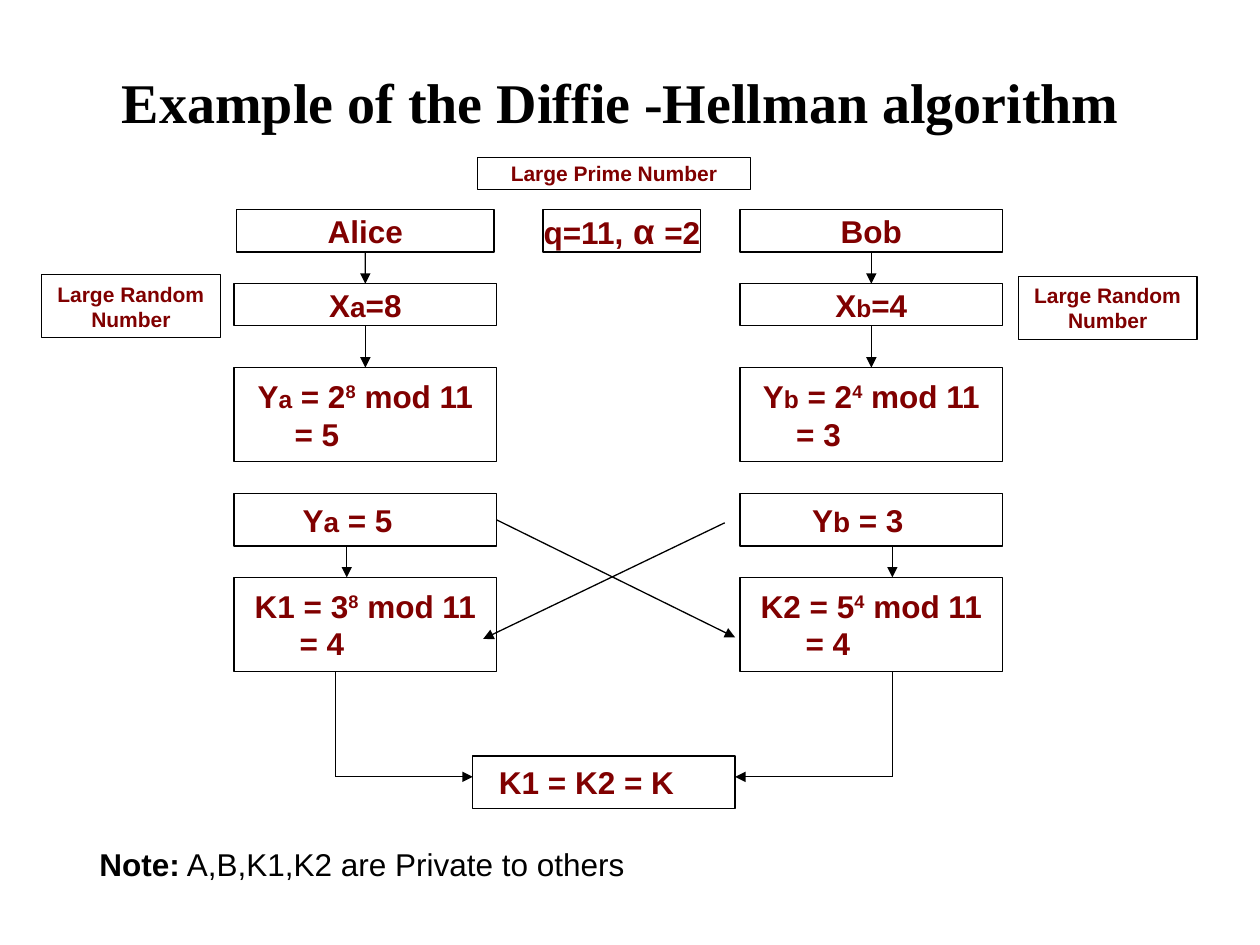
from dataclasses import dataclass

from lxml.etree import SubElement
from pptx import Presentation
from pptx.dml.color import RGBColor
from pptx.enum.shapes import MSO_CONNECTOR, MSO_SHAPE
from pptx.enum.text import MSO_ANCHOR, MSO_AUTO_SIZE, PP_ALIGN
from pptx.oxml.ns import qn
from pptx.util import Cm, Pt

BLACK = RGBColor(0x00, 0x00, 0x00)
WHITE = RGBColor(0xFF, 0xFF, 0xFF)
MAROON = RGBColor(0x80, 0x00, 0x00)

BOX_WIDTH = 5.29
LOW, MEDIUM, TALL = 0.85, 1.06, 1.9
NAME_TOP, SECRET_TOP, PUBLIC_TOP, SENT_TOP, KEY_TOP = 4.23, 5.72, 7.41, 9.95, 11.64
SHARED_LEFT, SHARED_TOP, JOIN_TOP = 9.53, 15.24, 15.66
BOTTOM, LEFT_SIDE, RIGHT_SIDE, TOP = 2, 1, 3, 0


@dataclass(frozen=True)
class Run:
    text: str
    size: float = 18
    bold: bool = True
    raised: bool = False


@dataclass(frozen=True)
class Line:
    runs: tuple[Run, ...]
    indent: float | None = None


@dataclass(frozen=True)
class Party:
    name: str
    left: float
    name_left: float
    name_width: float
    letter: str
    secret_size: float
    sent_size: float
    secret: str
    public: str
    public_indent: float
    sent_indent: float
    key: str
    received: str
    sent_x: float
    key_x: float
    random_left: float
    random_top: float
    shared_edge: float


PARTIES = (
    Party("Alice", 4.72, 4.77, 5.19, "a", 16, 16, "8", "5", 0.97, 1.13,
          "K1", "3", 6.99, 6.77, 0.84, 5.54, SHARED_LEFT),
    Party("Bob", 14.92, 14.92, 5.29, "b", 14, 16, "4", "3", 0.88, 1.2,
          "K2", "5", 17.99, 17.99, 20.53, 5.57, SHARED_LEFT + BOX_WIDTH),
)


def write_text(frame, lines: list[Line], *, font="Arial", color=MAROON,
               spacing=None, wrap=True):
    frame.word_wrap = wrap
    frame.auto_size = MSO_AUTO_SIZE.NONE
    frame.vertical_anchor = MSO_ANCHOR.MIDDLE
    for index, line in enumerate(lines):
        paragraph = frame.paragraphs[0] if index == 0 else frame.add_paragraph()
        paragraph.alignment = PP_ALIGN.CENTER
        if spacing is not None:
            paragraph.line_spacing = spacing
        if line.indent is not None:
            paragraph.alignment = PP_ALIGN.LEFT
            properties = paragraph._p.get_or_add_pPr()
            properties.set("marL", str(Cm(line.indent)))
            properties.set("indent", "0")
        for part in line.runs:
            run = paragraph.add_run()
            run.text = part.text
            run.font.name = font
            run.font.size = Pt(part.size)
            run.font.bold = part.bold
            run.font.color.rgb = color
            if part.raised:
                run.font._element.set("baseline", "30000")


def add_box(slide, left: float, top: float, width: float, height: float,
            lines: list[Line], *, outlined=True, **text_format):
    box = slide.shapes.add_shape(MSO_SHAPE.RECTANGLE, Cm(left), Cm(top), Cm(width), Cm(height))
    box.shadow.inherit = False
    box.fill.solid()
    box.fill.fore_color.rgb = WHITE
    if outlined:
        box.line.color.rgb = BLACK
        box.line.width = Pt(0.75)
    else:
        box.line.fill.background()
    box.text_frame.margin_top = box.text_frame.margin_bottom = 0
    write_text(box.text_frame, lines, **text_format)
    return box


def add_line(slide, start: tuple[float, float], end: tuple[float, float], arrow=True):
    line = slide.shapes.add_connector(
        MSO_CONNECTOR.STRAIGHT, *(Cm(value) for value in (*start, *end)))
    line.line.color.rgb = BLACK
    line.line.width = Pt(0.75)
    if arrow:
        SubElement(line.line._get_or_add_ln(), qn("a:tailEnd"), type="triangle")
    SubElement(line._element.spPr, qn("a:effectLst"))
    return line


def join_down(slide, upper, lower):
    arrow = add_line(slide, (0, 0), (1, 1))
    arrow.begin_connect(upper, BOTTOM)
    arrow.end_connect(lower, TOP)


def add_party(slide, party: Party):
    def column_box(top: float, height: float, lines: list[Line]):
        return add_box(slide, party.left, top, BOX_WIDTH, height, lines)

    def power(*base: Run) -> Line:
        return Line((*base, Run(party.secret, raised=True), Run(" mod 11")))

    name = add_box(slide, party.name_left, NAME_TOP, party.name_width, LOW,
                   [Line((Run(party.name),))])
    secret = column_box(SECRET_TOP, LOW, [Line((
        Run("X"), Run(party.letter, party.secret_size), Run(f"={party.secret}")))])
    public = column_box(PUBLIC_TOP, TALL, [
        power(Run("Y"), Run(party.letter, 14), Run(" = 2")),
        Line((Run(f"= {party.public}"),), party.public_indent)])
    sent = column_box(SENT_TOP, MEDIUM, [Line((
        Run("Y"), Run(party.letter, party.sent_size), Run(f" = {party.public}")),
        party.sent_indent)])
    column_box(KEY_TOP, TALL, [
        power(Run(f"{party.key} = {party.received}")),
        Line((Run("= 4"),), 1.07)])
    add_box(slide, party.random_left, party.random_top, 3.6, 1.27,
            [Line((Run(word, 12),)) for word in ("Large Random", "Number")], wrap=False)

    join_down(slide, name, secret)
    join_down(slide, secret, public)
    add_line(slide, (party.key_x if party.name == "Bob" else party.sent_x, SENT_TOP + MEDIUM),
             (party.sent_x, KEY_TOP))
    add_line(slide, (party.key_x, KEY_TOP + TALL), (party.key_x, JOIN_TOP), arrow=False)
    add_line(slide, (party.key_x, JOIN_TOP), (party.shared_edge, JOIN_TOP))
    return sent


def main():
    deck = Presentation()
    deck.slide_width, deck.slide_height = Cm(25.4), Cm(19.05)
    slide = deck.slides.add_slide(deck.slide_layouts[5])

    title = slide.shapes.title
    title.left, title.top, title.width, title.height = Cm(1.57), Cm(0.28), Cm(21.9), Cm(3.68)
    write_text(title.text_frame, [Line((Run("Example of the Diffie -Hellman algorithm", 32),))],
               font="Times New Roman", color=BLACK, spacing=0.9)

    add_box(slide, 9.63, 3.18, 5.5, 0.64, [Line((Run("Large Prime Number", 12),))])
    add_box(slide, 10.95, NAME_TOP, 3.18, LOW,
            [Line((Run("q=11,"), Run(" α ", 20), Run("=2")))], wrap=False)
    alice_sent, _ = [add_party(slide, party) for party in PARTIES]
    add_box(slide, SHARED_LEFT, SHARED_TOP, BOX_WIDTH, MEDIUM,
            [Line((Run("K1 = K2 = K"),), 0.28)])

    to_bob = add_line(slide, (9.96, 10.52), (14.82, 12.85))
    to_bob.begin_connect(alice_sent, RIGHT_SIDE)
    add_line(slide, (14.61, 10.54), (9.74, 12.88))

    add_box(slide, 1.69, 17, 11.22, LOW,
            [Line((Run("Note:"), Run(" A,B,K1,K2 are Private to others", bold=False)))],
            outlined=False, color=BLACK, wrap=False)
    deck.save("out.pptx")


if __name__ == "__main__":
    main()
